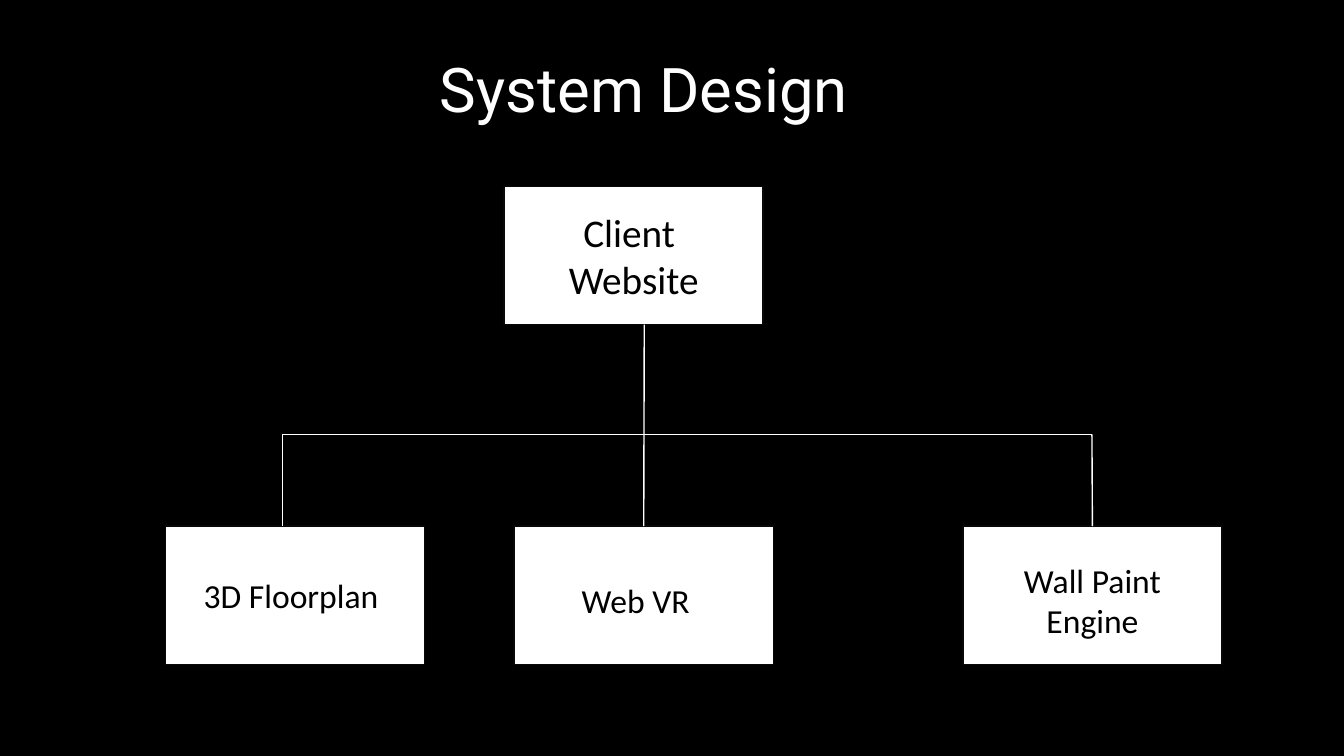
import pptx
import pptx.dml.color
import pptx.enum.shapes
import pptx.enum.text
import pptx.oxml.ns
import pptx.util
from lxml import etree
from pptx.util import Inches

COLOURS = {"background": "000000", "box": "FFFFFF", "border": "07080B",
           "line": "FFFFFF", "title": "FFFFFF", "label": "000000"}
ALIGN = pptx.enum.text.PP_ALIGN
BOX_WIDTH, BOX_HEIGHT = 2.57, 1.37
CLIENT_TOP, MODULE_TOP, BUS_Y = 1.85, 5.22, 4.31


def colour(name):
    return pptx.dml.color.RGBColor.from_string(COLOURS[name])


def add_run(paragraph, text, font_name, size, colour_name):
    run = paragraph.add_run()
    run.text = text
    run.font.name = font_name
    run.font.size = pptx.util.Pt(size)
    run.font.color.rgb = colour(colour_name)


def set_title(slide, text):
    title = slide.shapes.title
    title.left, title.top = Inches(1.39), Inches(0.3)
    title.width, title.height = Inches(10), Inches(1)
    title.text_frame.vertical_anchor = pptx.enum.text.MSO_ANCHOR.BOTTOM
    paragraph = title.text_frame.paragraphs[0]
    paragraph.alignment = ALIGN.CENTER
    paragraph.line_spacing = 0.9
    add_run(paragraph, text, "Roboto", 44, "title")


def add_box(slide, left, top, lines, size, align=ALIGN.CENTER, side=0.38, drop=0):
    """Add a labelled box; side and drop are its side and top insets."""
    box = slide.shapes.add_shape(pptx.enum.shapes.MSO_SHAPE.RECTANGLE, Inches(left),
                                 Inches(top), Inches(BOX_WIDTH), Inches(BOX_HEIGHT))
    box.shadow.inherit = False
    box.fill.solid()
    box.fill.fore_color.rgb = colour("box")
    box.line.color.rgb = colour("border")
    box.line.width = pptx.util.Pt(1)
    frame = box.text_frame
    frame.word_wrap = True
    frame.vertical_anchor = pptx.enum.text.MSO_ANCHOR.MIDDLE
    frame.margin_left = frame.margin_right = Inches(side)
    frame.margin_top, frame.margin_bottom = Inches(drop), 0
    for index, line in enumerate(lines):
        paragraph = frame.add_paragraph() if index else frame.paragraphs[0]
        paragraph.alignment = align
        add_run(paragraph, line, "Calibri", size, "label")
    return box


def add_line(slide, start, end):
    line = slide.shapes.add_connector(pptx.enum.shapes.MSO_CONNECTOR.STRAIGHT,
                                      *map(Inches, start + end))
    line.line.color.rgb = colour("line")
    line.line.width = pptx.util.Pt(1)
    properties = line._element.find(pptx.oxml.ns.qn("p:spPr"))
    etree.SubElement(properties, pptx.oxml.ns.qn("a:effectLst"))
    return line


def main():
    deck = pptx.Presentation()
    deck.slide_width, deck.slide_height = Inches(13.33), Inches(7.5)
    slide = deck.slides.add_slide(deck.slide_layouts[5])
    slide.background.fill.solid()
    slide.background.fill.fore_color.rgb = colour("background")

    set_title(slide, "System Design")
    add_box(slide, 5, CLIENT_TOP, ["Client ", "Website"], 28)
    add_box(slide, 1.64, MODULE_TOP, ["3D Floorplan"], 24, ALIGN.LEFT)
    web_vr = add_box(slide, 5.1, MODULE_TOP, ["Web VR"], 24, ALIGN.LEFT, 0.67, 0.09)
    wall_paint = add_box(slide, 9.55, MODULE_TOP, ["Wall Paint Engine"], 24, drop=0.1)

    floorplan_x, web_vr_x, wall_paint_x = 2.8, 6.39, 10.83
    add_line(slide, (floorplan_x, BUS_Y), (wall_paint_x, BUS_Y))
    add_line(slide, (floorplan_x, BUS_Y), (floorplan_x, MODULE_TOP))
    trunk = add_line(slide, (web_vr_x, CLIENT_TOP + BOX_HEIGHT), (web_vr_x, MODULE_TOP))
    trunk.end_connect(web_vr, 0)
    wall_branch = add_line(slide, (wall_paint_x, BUS_Y), (wall_paint_x, MODULE_TOP))
    wall_branch.end_connect(wall_paint, 0)

    deck.save("out.pptx")


if __name__ == "__main__":
    main()
